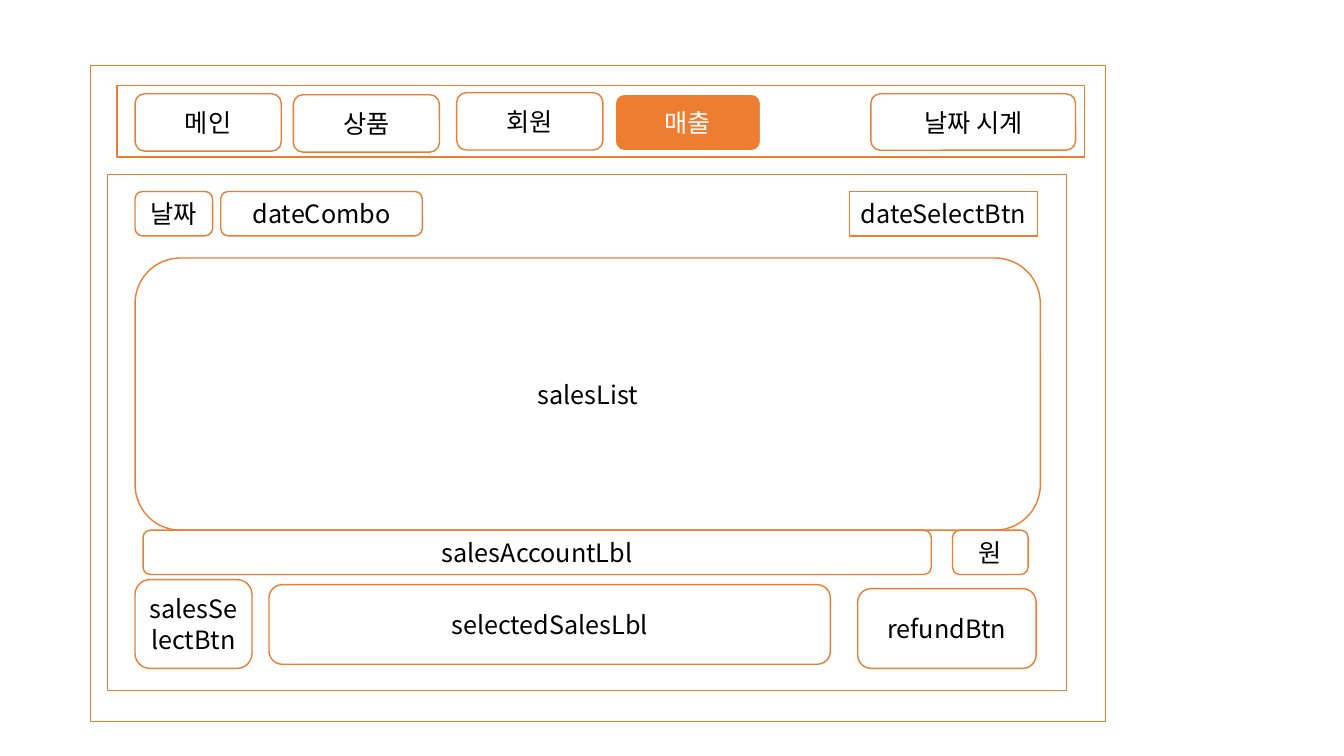
from lxml import etree
from pptx import Presentation
from pptx.dml.color import RGBColor
from pptx.enum.shapes import MSO_SHAPE
from pptx.enum.text import MSO_ANCHOR, PP_ALIGN
from pptx.oxml.ns import qn
from pptx.util import Pt

RECT = MSO_SHAPE.RECTANGLE
ROUNDED = MSO_SHAPE.ROUNDED_RECTANGLE
CENTER = PP_ALIGN.CENTER
MIDDLE = MSO_ANCHOR.MIDDLE

COLORS = {"accent": "ED7D31", "paper": "FFFFFF", "ink": "000000"}


class Wireframe:
    """Draws the parts of a screen layout on one slide."""

    font = "Noto Sans CJK KR"
    size = 18

    def __init__(self, slide):
        self.slide = slide

    def color(self, name):
        return RGBColor.from_string(COLORS[name])

    def box(self, x, y, w, h, kind=RECT, fill="paper", line="accent", weight=1):
        sp = self.slide.shapes.add_shape(kind, Pt(x), Pt(y), Pt(w), Pt(h))
        sp.shadow.inherit = False
        sp.fill.solid()
        sp.fill.fore_color.rgb = self.color(fill)
        sp.line.color.rgb = self.color(line)
        sp.line.width = Pt(weight)
        return sp

    def label(self, text, x, y, w, h, kind=ROUNDED, ink="ink", **style):
        tf = self.box(x, y, w, h, kind, **style).text_frame
        tf.word_wrap = True
        tf.vertical_anchor = MIDDLE
        p = tf.paragraphs[0]
        p.text = text
        p.alignment = CENTER
        p.font.size = Pt(self.size)
        p.font.name = self.font
        p.font.color.rgb = self.color(ink)
        # Korean glyphs take the East Asian typeface
        props = p._p.pPr.find(qn("a:defRPr"))
        etree.SubElement(props, qn("a:ea")).set("typeface", self.font)

    def active_tab(self, text, x, y, w, h):
        self.label(text, x, y, w, h, ink="paper", fill="accent",
                   line="paper", weight=1.5)


def main():
    prs = Presentation()
    prs.slide_width, prs.slide_height = Pt(960), Pt(540)
    s = Wireframe(prs.slides.add_slide(prs.slide_layouts[6]))

    # Window, menu bar and content panel
    s.box(64.8, 46.8, 725, 468.7)
    s.box(83.5, 61.2, 691.2, 51.1)
    s.box(77, 124.6, 684.7, 368.6)

    left = 96.5

    # Menu tabs and clock
    tab_w, tab_h = 104.4, 41
    s.label("메인", left, 67, tab_w, tab_h)
    s.label("상품", 209.5, 67.7, tab_w, tab_h)
    s.active_tab("매출", 439.2, 67, tab_w, tab_h)
    s.label("회원", 326.2, 66.2, tab_w, tab_h)
    s.label("날짜 시계", 622.1, 67, 146.2, 40.3)

    # Date filter row
    row_h = 31.7
    filter_y = 136.8
    s.label("날짜", left, filter_y, 55.4, row_h)
    s.label("dateCombo", 157.7, filter_y, 144, row_h)
    s.label("dateSelectBtn", 607, filter_y, 133.9, row_h, RECT)

    # Sales list and total row
    total_y = 378.7
    s.label("salesList", left, 184.3, 646.6, 194.4)
    s.label("salesAccountLbl", 102.2, total_y, 563, row_h)
    s.label("원", 680.4, total_y, 54, row_h)

    # Selection and refund row
    s.label("salesSelectBtn", left, 414, 83.5, 63.4)
    s.label("selectedSalesLbl", 192.2, 417.6, 401, 56.9)
    s.label("refundBtn", 612.7, 420.5, 127.4, 56.9)

    prs.save("out.pptx")


if __name__ == "__main__":
    main()
